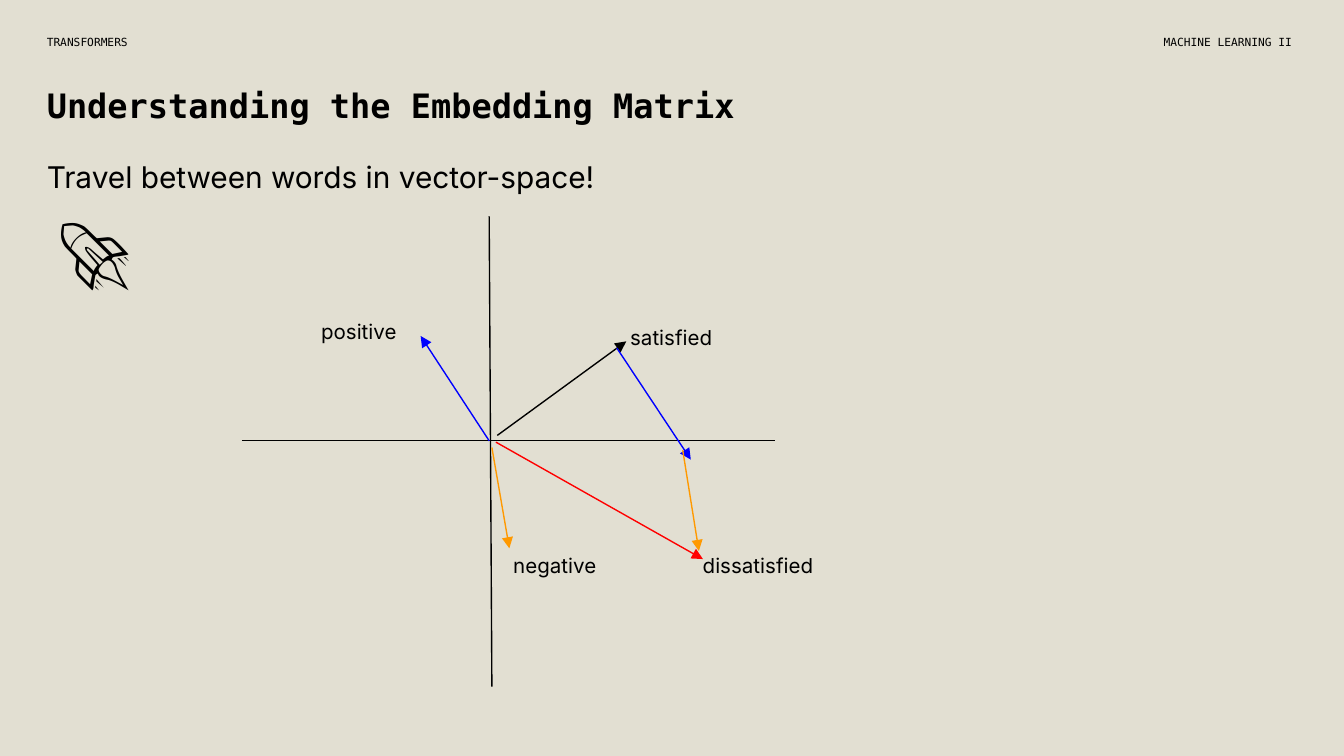
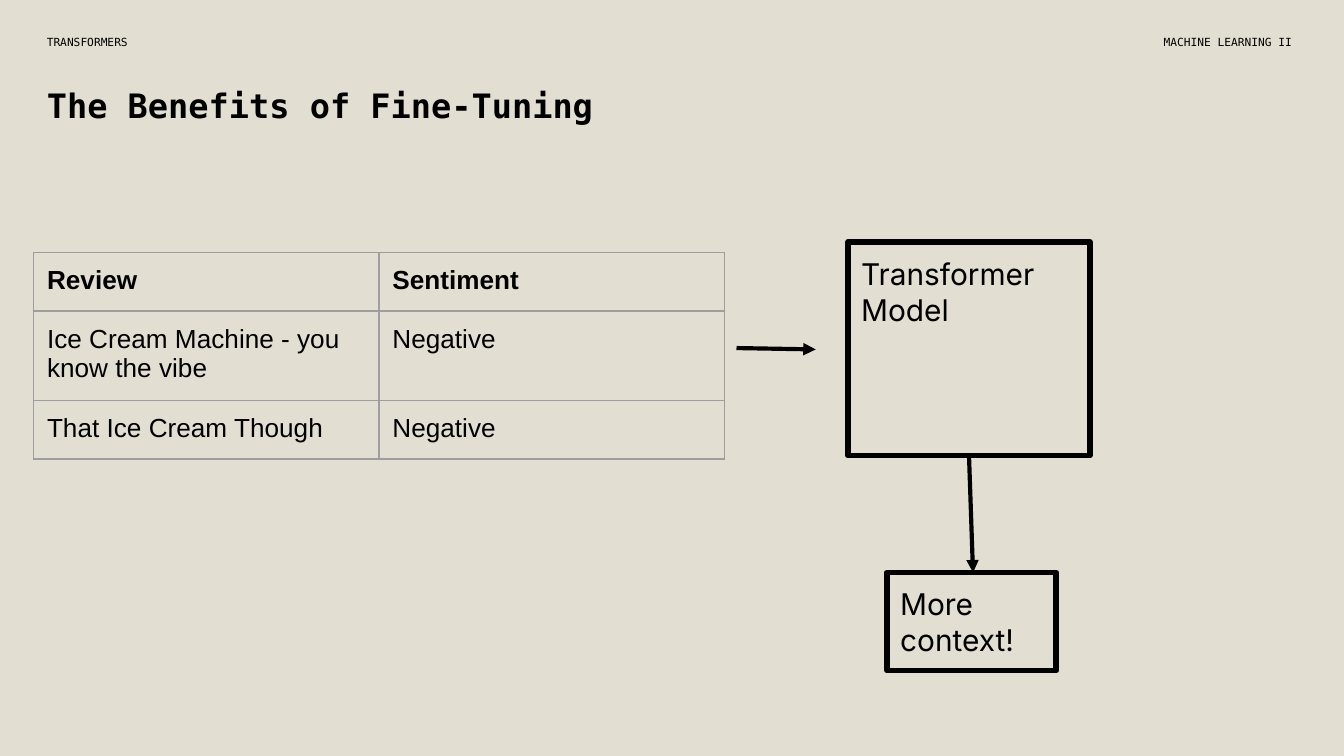
from lxml.etree import SubElement
from pptx import Presentation
from pptx.dml.color import RGBColor
from pptx.enum.shapes import MSO_CONNECTOR, MSO_SHAPE
from pptx.enum.text import MSO_ANCHOR, PP_ALIGN
from pptx.oxml.ns import qn
from pptx.util import Inches, Pt

SAND = RGBColor(0xE2, 0xDF, 0xD2)
BLACK = RGBColor(0, 0, 0)
BLUE = RGBColor(0, 0, 0xFF)
RED = RGBColor(0xFF, 0, 0)
ORANGE = RGBColor(0xFF, 0x99, 0)
GREY = RGBColor(0x9E, 0x9E, 0x9E)
MONO = "DejaVu Sans Mono"
SANS = "Inter"
TABLE_FONT = "Arial"
MARGIN = 0.25


def set_margins(holder):
    """Give a text frame or table cell equal margins."""
    holder.margin_left = holder.margin_right = Inches(0.1)
    holder.margin_top = holder.margin_bottom = Inches(0.1)


def write(frame, text, size, font=SANS, bold=False):
    """Fill a text frame with one styled paragraph and return it."""
    para = frame.paragraphs[0]
    para.text = text
    para.alignment = PP_ALIGN.LEFT
    para.font.size = Pt(size)
    para.font.name = font
    para.font.bold = bold
    para.font.color.rgb = BLACK
    return para


def add_text(page, place, text, size, font=SANS, bold=False):
    """Add a text box and return its paragraph and frame."""
    frame = page.shapes.add_textbox(*map(Inches, place)).text_frame
    frame.word_wrap = True
    set_margins(frame)
    return write(frame, text, size, font, bold), frame


def add_running_head(page, left, text, alignment):
    """Add one of the small headings at the top of a page."""
    para, frame = add_text(page, (left, 0.18, 1.8, 0.26), text, 6, MONO)
    para.alignment = alignment
    frame.vertical_anchor = MSO_ANCHOR.MIDDLE


def add_page(deck, title, title_width):
    """Add a page with background, running heads and title."""
    page = deck.slides.add_slide(deck.slide_layouts[6])
    page.background.fill.solid()
    page.background.fill.fore_color.rgb = SAND
    add_running_head(page, 7.91, "MACHINE LEARNING II", PP_ALIGN.RIGHT)
    add_running_head(page, MARGIN, "TRANSFORMERS", PP_ALIGN.LEFT)
    para, _ = add_text(
        page, (MARGIN, 0.59, title_width, 0.48), title, 18, MONO, True)
    para.line_spacing = 0.8
    return page


def add_line(page, start, end, color=BLACK, width=0.75, arrow=True):
    """Draw a straight line, with an arrowhead at its end if wanted."""
    line = page.shapes.add_connector(
        MSO_CONNECTOR.STRAIGHT, *map(Inches, (*start, *end)))
    line.line.color.rgb = color
    line.line.width = Pt(width)
    if arrow:
        SubElement(line.line._get_or_add_ln(), qn("a:tailEnd"), type="triangle")
    SubElement(line._element.spPr, qn("a:effectLst"))


def add_frame(page, place, text):
    """Add an outlined box with text at its top left."""
    box = page.shapes.add_shape(MSO_SHAPE.RECTANGLE, *map(Inches, place))
    box.shadow.inherit = False
    box.fill.background()
    box.line.color.rgb = BLACK
    box.line.width = Pt(3)
    SubElement(box.line._get_or_add_ln(), qn("a:round"))
    frame = box.text_frame
    frame.word_wrap = True
    frame.vertical_anchor = MSO_ANCHOR.TOP
    set_margins(frame)
    write(frame, text, 16)


def style_cell(cell, text, bold):
    """Write a cell and give it grey borders and no fill."""
    write(cell.text_frame, text, 14, TABLE_FONT, bold)
    set_margins(cell)
    properties = cell._tc.get_or_add_tcPr()
    for side in ("lnL", "lnR", "lnT", "lnB"):
        border = SubElement(properties, qn(f"a:{side}"), w=str(Pt(0.75)))
        fill = SubElement(border, qn("a:solidFill"))
        SubElement(fill, qn("a:srgbClr"), val=str(GREY))
    cell.fill.background()


def add_table(page, left, top, column_width, row_height, rows):
    """Add a table whose first row is a bold header."""
    columns = len(rows[0])
    table = page.shapes.add_table(
        len(rows), columns, Inches(left), Inches(top),
        Inches(column_width * columns), Inches(row_height * len(rows))).table
    table.horz_banding = False
    for row, texts in enumerate(rows):
        for column, text in enumerate(texts):
            style_cell(table.cell(row, column), text, row == 0)


def build_embedding_page(deck):
    """Show word vectors and the path between two words."""
    page = add_page(deck, "Understanding the Embedding Matrix", 7.13)
    add_text(page, (MARGIN, 1.08, 6.27, 4.1),
             "Travel between words in vector-space!", 16)
    add_text(page, (0.34, 1.42, 1.42, 1), "🚀", 40)
    add_line(page, (3.64, 1.61), (3.66, 5.11), arrow=False)
    add_line(page, (1.8, 3.28), (5.77, 3.28), arrow=False)
    for start, end, color in (
        ((3.7, 3.24), (4.66, 2.54), BLACK),
        ((3.64, 3.28), (3.13, 2.5), BLUE),
        ((3.69, 3.29), (5.23, 4.16), RED),
        ((4.59, 2.59), (5.14, 3.42), BLUE),
        ((5.08, 3.35), (5.2, 4.1), ORANGE),
        ((3.66, 3.33), (3.79, 4.08), ORANGE),
    ):
        add_line(page, start, end, color)
    for word, left, top in (
        ("satisfied", 4.59, 2.33),
        ("positive", 2.29, 2.28),
        ("negative", 3.72, 4.02),
        ("dissatisfied", 5.13, 4.02),
    ):
        add_text(page, (left, top, 1.48, 0.26), word, 11)


def build_tuning_page(deck):
    """Show labelled reviews feeding a model."""
    page = add_page(deck, "The Benefits of Fine-Tuning", 5.75)
    add_table(page, MARGIN, 1.88, 2.57, 0.42, (
        ("Review", "Sentiment"),
        ("Ice Cream Machine - you know the vibe", "Negative"),
        ("That Ice Cream Though", "Negative"),
    ))
    add_frame(page, (6.31, 1.8, 1.8, 1.59), "Transformer Model")
    add_line(page, (5.48, 2.59), (6.07, 2.6), width=2.25)
    add_line(page, (7.21, 3.39), (7.24, 4.26), width=2.25)
    add_frame(page, (6.6, 4.26, 1.26, 0.73), "More context!")


def main():
    """Build and save the deck."""
    deck = Presentation()
    deck.slide_width = Inches(10)
    deck.slide_height = Inches(10 * 9 / 16)
    build_embedding_page(deck)
    build_tuning_page(deck)
    deck.save("out.pptx")


if __name__ == "__main__":
    main()
